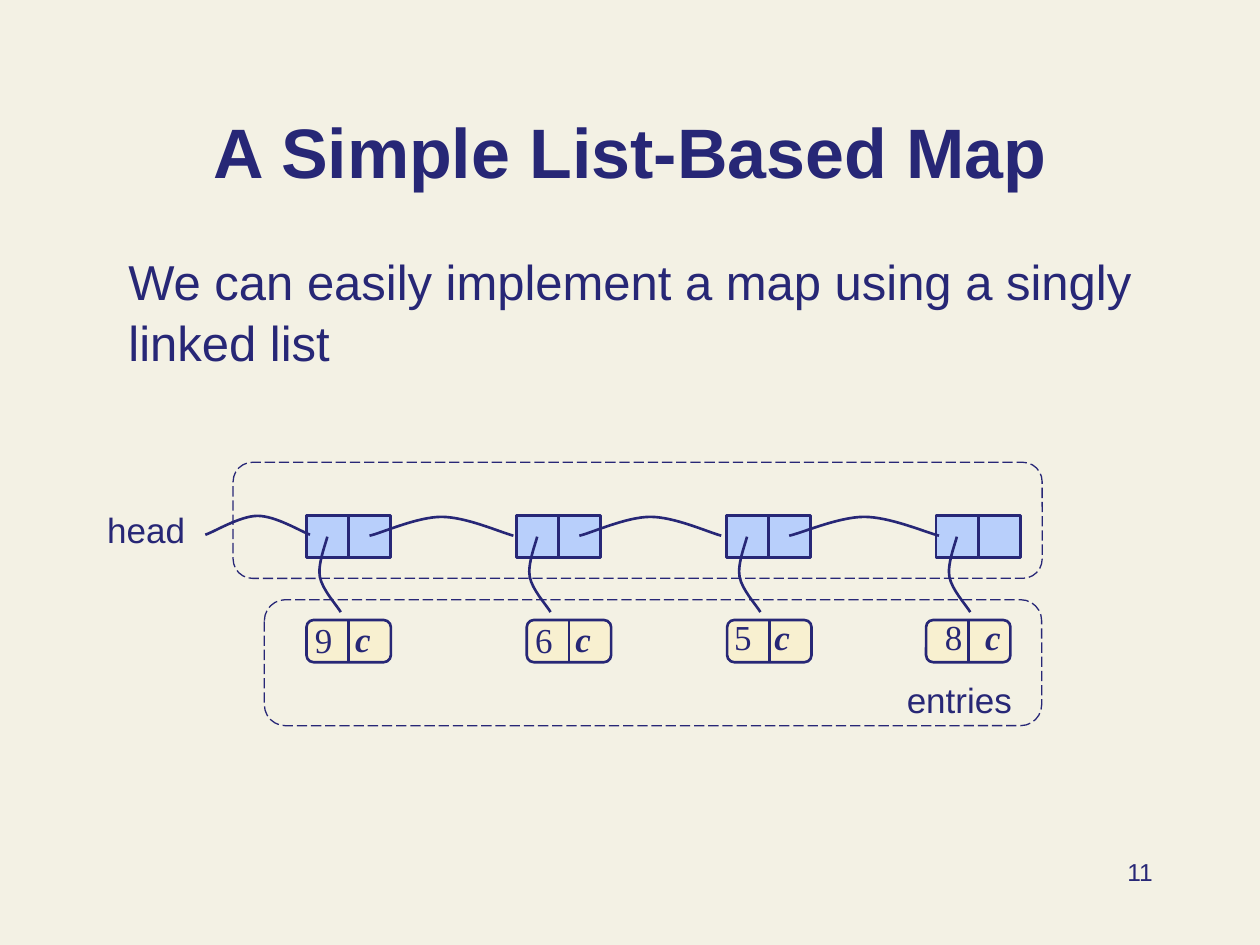
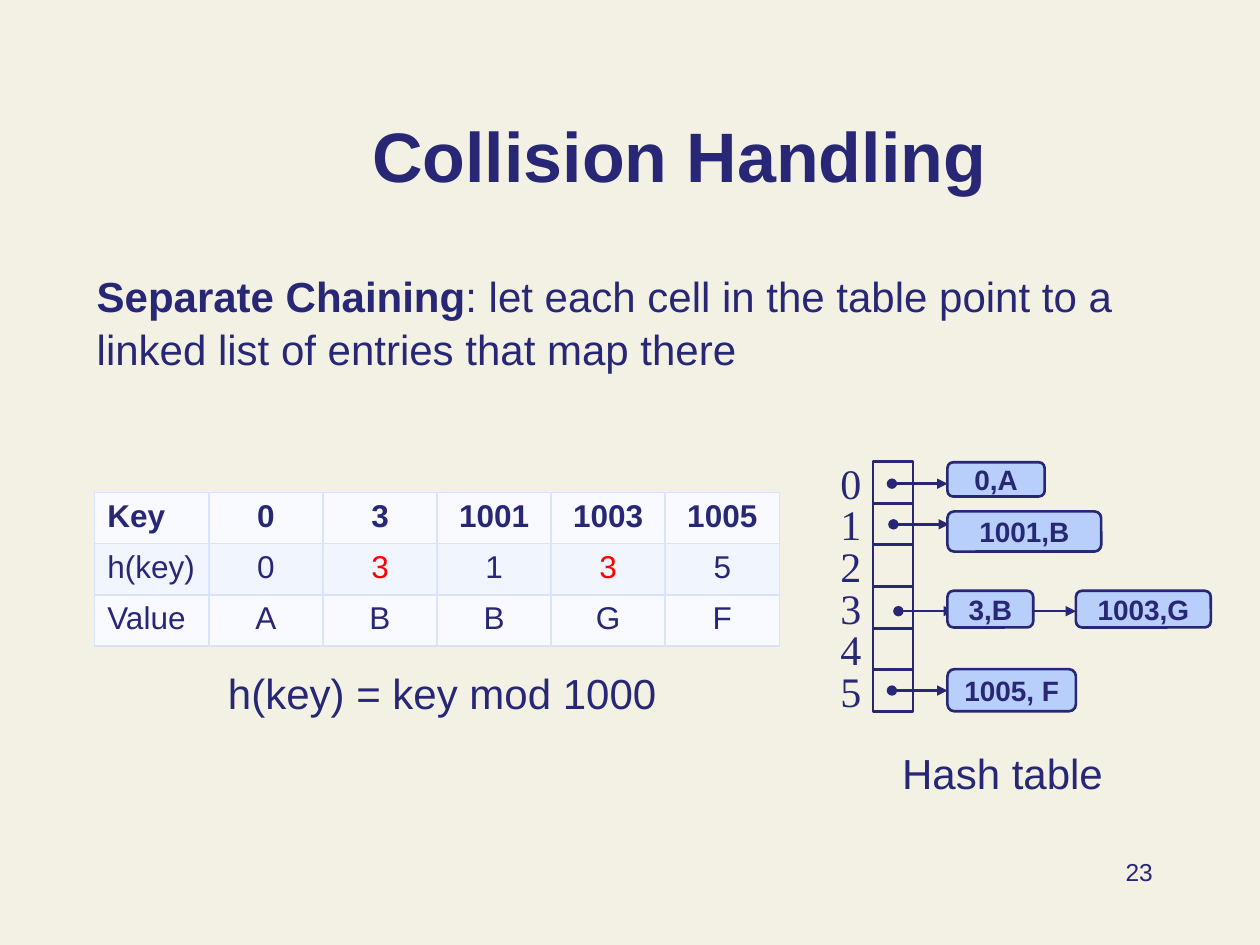
from dataclasses import dataclass
from typing import NamedTuple

from lxml.etree import SubElement
from pptx import Presentation
from pptx.dml.color import RGBColor
from pptx.enum.dml import MSO_LINE
from pptx.enum.shapes import MSO_CONNECTOR, MSO_SHAPE
from pptx.enum.text import MSO_ANCHOR, MSO_AUTO_SIZE, PP_ALIGN
from pptx.oxml import parse_xml
from pptx.oxml.ns import nsdecls, qn
from pptx.util import Cm, Pt


@dataclass(frozen=True)
class Theme:
    sans: str = "Arial"
    serif: str = "Times New Roman"
    ink: str = "272776"
    paper: str = "F3F1E4"
    node: str = "B8CFFB"
    entry: str = "F8F0D0"
    collision: str = "FF0000"
    grid: str = "D8E4FD"
    rows: tuple[str, ...] = ("F8FAFF", "F0F5FE")
    title_size: int = 40
    lead_size: int = 28
    text_size: int = 24
    label_size: int = 20
    table_size: int = 18
    chain_size: int = 16
    page_size: int = 14
    stroke: float = 1.5
    thin: float = 0.75


THEME = Theme()


class Box(NamedTuple):
    """A place on the slide in centimetres."""
    left: float
    top: float
    width: float
    height: float

    def lengths(self) -> list[Cm]:
        return [Cm(value) for value in self]


class Run(NamedTuple):
    text: str
    size: int
    bold: bool = False
    italic: bool = False
    face: str = THEME.sans
    color: str = THEME.ink


class Entry(NamedTuple):
    key: str
    left: float
    key_left: float
    key_top: float


class ChainLink(NamedTuple):
    text: str
    box: Box


class Arrow(NamedTuple):
    start: float
    end: float
    y: float


PAGE_BOX = Box(18.21, 17.15, 5.28, 1.27)

# Singly linked list
NODE_LEFT, NODE_TOP, NODE_STEP, CELL = 6.18, 10.39, 4.23, 0.85
ENTRY_TOP = 12.5
ENTRIES = [
    Entry("9", 6.18, 6.1, 12.34),
    Entry("6", 10.62, 10.54, 12.34),
    Entry("5", 14.66, 14.55, 12.29),
    Entry("8", 18.67, 18.8, 12.29),
]
NEXT_WIDTHS = [2.9, 2.86, 3.02]
NEXT_CURVE = [(0, 0), (0.08, -0.05), (0.33, -0.38), (0.5, -0.38),
              (0.67, -0.38), (0.9, -0.08), (1, 0)]
ENTRY_CURVE = [(0, 0), (-0.03, 0.13), (-0.2, 0.56), (-0.15, 0.81),
               (-0.1, 1.07), (0.18, 1.37), (0.27, 1.52)]
FRAMES = [Box(4.7, 9.32, 16.31, 2.34), Box(5.33, 12.09, 15.67, 2.54)]

# Hash table
BUCKET_COUNT, BUCKET_LEFT, BUCKET_TOP, BUCKET_STEP = 6, 17.6, 9.3, 0.84
INDEX_LEFT, INDEX_TOP = 16.69, 9.09
CHAIN = [
    ChainLink("0,A", Box(19.1, 9.32, 1.96, 0.69)),
    ChainLink("1001,B", Box(19.1, 10.31, 3.1, 0.81)),
    ChainLink("3,B", Box(19.1, 11.91, 1.73, 0.74)),
    ChainLink("1003,G", Box(21.69, 11.91, 2.72, 0.74)),
    ChainLink("1005, F", Box(19.1, 13.49, 2.59, 0.85)),
]
ARROWS = [
    Arrow(17.98, 19.1, 9.75),
    Arrow(18.01, 19.13, 10.57),
    Arrow(18.11, 19.23, 12.32),
    Arrow(20.5, 21.69, 12.32),
    Arrow(17.98, 19.1, 13.92),
]
KEY_TABLE = [
    ["Key", "0", "3", "1001", "1003", "1005"],
    ["h(key)", "0", "3", "1", "3", "5"],
    ["Value", "A", "B", "B", "G", "F"],
]
COLUMN_WIDTH, ROW_HEIGHT = 2.3, 1.03


def rgb(color: str) -> RGBColor:
    return RGBColor.from_string(color)


def set_all(target, formats: dict) -> None:
    for attribute, value in formats.items():
        setattr(target, attribute, value)


def write(frame, runs: list[Run], align=PP_ALIGN.LEFT, spacing: float = 1.0) -> None:
    paragraph = frame.paragraphs[0]
    set_all(paragraph, {"alignment": align, "line_spacing": spacing})
    for content in runs:
        run = paragraph.add_run()
        run.text = content.text
        set_all(run.font, {"name": content.face, "size": Pt(content.size),
                           "bold": content.bold, "italic": content.italic})
        run.font.color.rgb = rgb(content.color)


def add_text(slide, box: Box, *runs: Run, align=PP_ALIGN.LEFT,
             wrap: bool = False, spacing: float = 1.0) -> None:
    frame = slide.shapes.add_textbox(*box.lengths()).text_frame
    frame.word_wrap = wrap
    write(frame, list(runs), align, spacing)


def set_stroke(line, width: float = THEME.stroke) -> None:
    line.color.rgb = rgb(THEME.ink)
    line.width = Pt(width)


def add_box(slide, preset, box: Box, fill: str | None = None,
            width: float = THEME.stroke):
    shape = slide.shapes.add_shape(preset, *box.lengths())
    shape.shadow.inherit = False
    if fill:
        shape.fill.solid()
        shape.fill.fore_color.rgb = rgb(fill)
    else:
        shape.fill.background()
    set_stroke(shape.line, width)
    return shape


def add_line(slide, x1: float, y1: float, x2: float, y2: float):
    connector = slide.shapes.add_connector(
        MSO_CONNECTOR.STRAIGHT, Cm(x1), Cm(y1), Cm(x2), Cm(y2))
    set_stroke(connector.line)
    SubElement(connector._element.spPr, qn("a:effectLst"))
    return connector


def add_arrow(slide, arrow: Arrow) -> None:
    """Draw a pointer with a dot at its start and a triangle at its end."""
    connector = add_line(slide, arrow.start, arrow.y, arrow.end, arrow.y)
    outline = connector.line._get_or_add_ln()
    for tag, kind in (("a:headEnd", "oval"), ("a:tailEnd", "triangle")):
        SubElement(outline, qn(tag), type=kind)


def add_curve(slide, x: float, y: float, points: list[tuple[float, float]],
              x_scale: float = 1.0) -> None:
    """Draw Bezier segments: a start point, then three points per segment."""
    start, *rest = [(Cm(x + dx * x_scale), Cm(y + dy)) for dx, dy in points]
    builder = slide.shapes.build_freeform(*start)
    builder.add_line_segments(rest, close=False)
    curve = builder.convert_to_shape()
    curve.shadow.inherit = False
    curve.fill.background()
    set_stroke(curve.line)
    outline = next(curve._element.iter(qn("a:path")))
    segments = outline.findall(qn("a:lnTo"))
    for first in range(0, len(segments), 3):
        bezier = SubElement(outline, qn("a:cubicBezTo"))
        for segment in segments[first:first + 3]:
            bezier.append(segment[0])
            outline.remove(segment)


def start_slide(prs, title: str, title_box: Box, page: str):
    slide = prs.slides.add_slide(prs.slide_layouts[5])
    heading = slide.shapes.title
    set_all(heading, dict(zip(Box._fields, title_box.lengths())))
    set_all(heading.text_frame, {"vertical_anchor": MSO_ANCHOR.BOTTOM,
                                 "auto_size": MSO_AUTO_SIZE.NONE,
                                 "word_wrap": True})
    write(heading.text_frame, [Run(title, THEME.title_size, bold=True)],
          PP_ALIGN.CENTER)
    add_text(slide, PAGE_BOX, Run(page, THEME.page_size),
             align=PP_ALIGN.RIGHT, wrap=True)
    return slide


def add_entry(slide, entry: Entry) -> None:
    add_box(slide, MSO_SHAPE.ROUNDED_RECTANGLE,
            Box(entry.left, ENTRY_TOP, 2 * CELL, CELL), THEME.entry)
    middle = entry.left + CELL
    add_line(slide, middle, ENTRY_TOP, middle, ENTRY_TOP + CELL)
    add_text(slide, Box(entry.key_left, entry.key_top, 0.86, 1.09),
             Run(entry.key, THEME.label_size, face=THEME.serif))
    add_text(slide, Box(entry.key_left + 0.81, entry.key_top - 0.01, 0.81, 1.09),
             Run("c", THEME.label_size, True, True, THEME.serif))


def build_list_slide(prs) -> None:
    slide = start_slide(prs, "A Simple List-Based Map",
                        Box(1.91, 1.27, 21.59, 2.74), "11")
    add_text(slide, Box(2.34, 4.88, 21.39, 3.86),
             Run("We can easily implement a map using a singly linked list",
                 THEME.lead_size), wrap=True, spacing=1.05)
    for frame in FRAMES:
        outline = add_box(slide, MSO_SHAPE.ROUNDED_RECTANGLE, frame,
                          width=THEME.thin)
        outline.line.dash_style = MSO_LINE.LONG_DASH
    node_lefts = [NODE_LEFT + NODE_STEP * i for i in range(len(ENTRIES))]
    for left, entry in zip(node_lefts, ENTRIES):
        for cell in range(2):
            add_box(slide, MSO_SHAPE.RECTANGLE,
                    Box(left + cell * CELL, NODE_TOP, CELL, CELL), THEME.node)
        add_curve(slide, left + 0.42, 10.82, ENTRY_CURVE)
        add_entry(slide, entry)
    for left, width in zip(node_lefts, NEXT_WIDTHS):
        add_curve(slide, left + 1.27, 10.8, NEXT_CURVE, width)
    add_curve(slide, 4.14, 10.78, NEXT_CURVE, 2.11)
    add_text(slide, Box(1.91, 10.13, 2.08, 1.12), Run("head", THEME.label_size))
    add_text(slide, Box(18.03, 13.56, 3.02, 1.02), Run("entries", THEME.label_size))


def add_key_table(slide) -> None:
    columns, rows = len(KEY_TABLE[0]), len(KEY_TABLE)
    box = Box(1.91, 9.93, columns * COLUMN_WIDTH, rows * ROW_HEIGHT)
    table = slide.shapes.add_table(rows, columns, *box.lengths()).table
    set_all(table, {"first_row": False, "horz_banding": False})
    for r, values in enumerate(KEY_TABLE):
        for c, value in enumerate(values):
            cell = table.cell(r, c)
            cell.fill.solid()
            cell.fill.fore_color.rgb = rgb(THEME.rows[r % 2])
            collides = r == 1 and c > 0 and values.count(value) > 1
            color = THEME.collision if collides else THEME.ink
            write(cell.text_frame,
                  [Run(value, THEME.table_size, bold=r == 0, color=color)],
                  PP_ALIGN.CENTER if c else PP_ALIGN.LEFT)
            for position, side in enumerate("LRTB"):
                cell._tc.tcPr.insert(position, parse_xml(
                    f'<a:ln{side} {nsdecls("a")} w="{Pt(1)}"><a:solidFill>'
                    f'<a:srgbClr val="{THEME.grid}"/></a:solidFill></a:ln{side}>'))


def build_hash_slide(prs) -> None:
    slide = start_slide(prs, "Collision Handling",
                        Box(6.71, 0.91, 13.97, 3.18), "23")
    add_text(slide, Box(1.7, 5.28, 21.21, 3.02),
             Run("Separate Chaining", THEME.text_size, bold=True),
             Run(": let each cell in the table point to a linked list of "
                 "entries that map there", THEME.text_size),
             wrap=True, spacing=1.05)
    add_key_table(slide)
    for index in range(BUCKET_COUNT):
        drop = index * BUCKET_STEP
        add_box(slide, MSO_SHAPE.RECTANGLE,
                Box(BUCKET_LEFT, BUCKET_TOP + drop, 0.81, 0.85))
        add_text(slide, Box(INDEX_LEFT, INDEX_TOP + drop, 0.94, 1.27),
                 Run(str(index), THEME.text_size, face=THEME.serif))
    for arrow in ARROWS:
        add_arrow(slide, arrow)
    for link in CHAIN:
        frame = add_box(slide, MSO_SHAPE.ROUNDED_RECTANGLE, link.box,
                        THEME.node).text_frame
        set_all(frame, {"word_wrap": False, "vertical_anchor": MSO_ANCHOR.MIDDLE})
        write(frame, [Run(link.text, THEME.chain_size, bold=True)], PP_ALIGN.CENTER)
    for caption, box in (("h(key) = key mod 1000", Box(4.29, 13.34, 9.25, 1.3)),
                         ("Hash table", Box(17.91, 14.94, 4.6, 1.3))):
        add_text(slide, box, Run(caption, THEME.text_size), align=PP_ALIGN.CENTER)


def main() -> None:
    prs = Presentation()
    set_all(prs, {"slide_width": Cm(25.4), "slide_height": Cm(19.05)})
    backdrop = prs.slide_master.background.fill
    backdrop.solid()
    backdrop.fore_color.rgb = rgb(THEME.paper)
    build_list_slide(prs)
    build_hash_slide(prs)
    prs.save("out.pptx")


if __name__ == "__main__":
    main()
